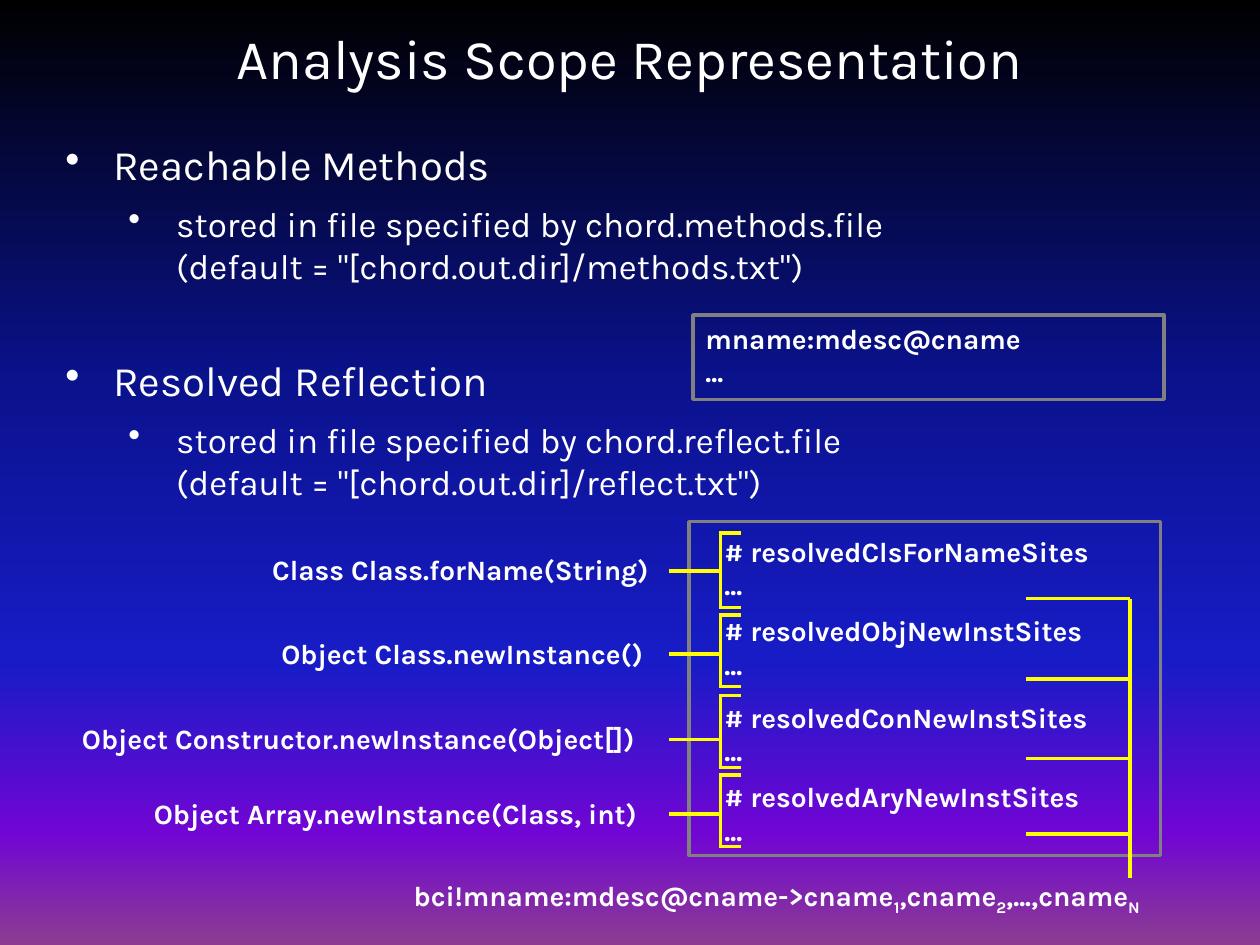
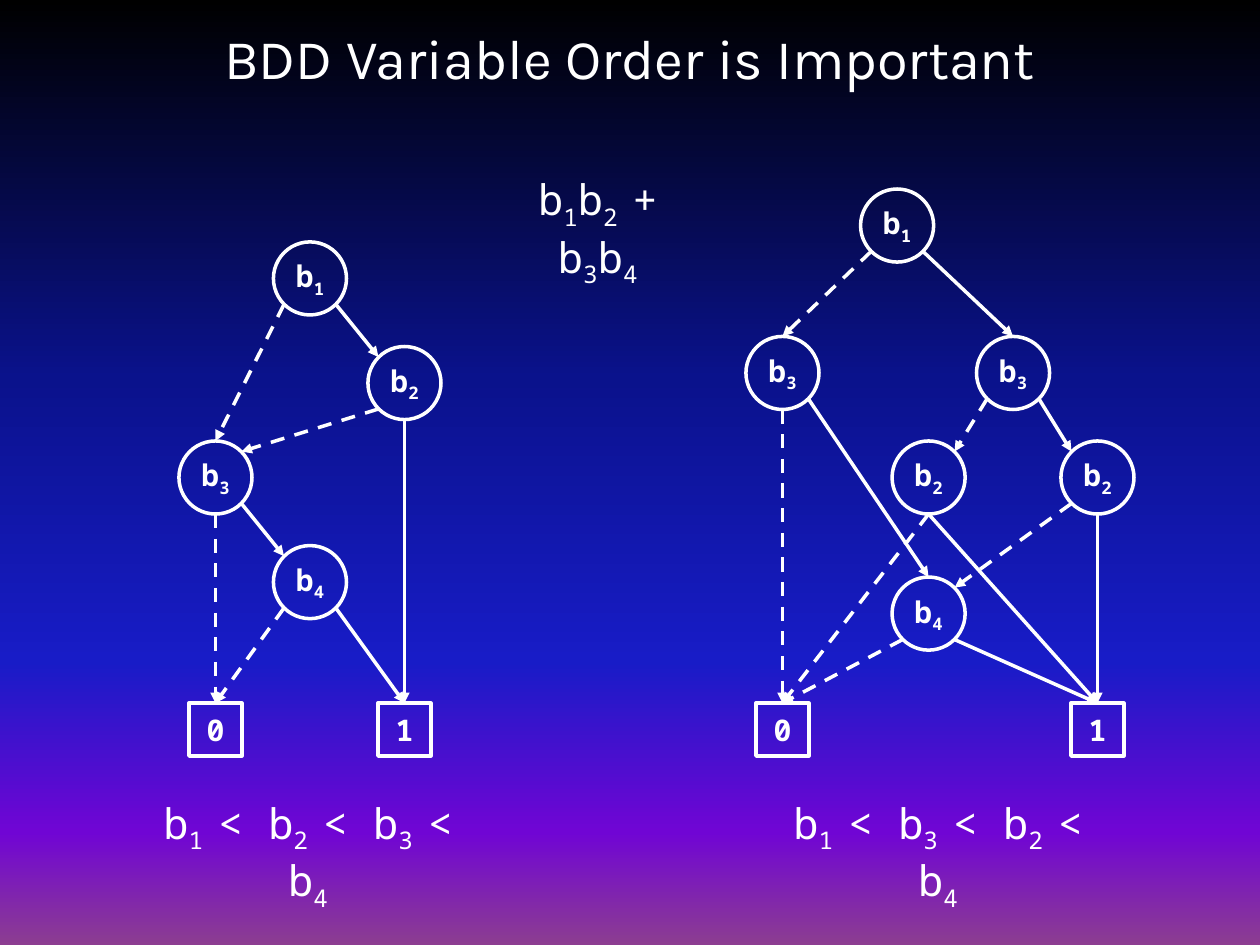
"""Build two slides on program analysis: scope files and decision diagrams."""
from dataclasses import dataclass
from typing import Any, NamedTuple

from lxml import etree
from pptx import Presentation
from pptx.dml.color import RGBColor
from pptx.enum.dml import MSO_LINE
from pptx.enum.shapes import MSO_CONNECTOR, MSO_SHAPE
from pptx.enum.text import MSO_ANCHOR, PP_ALIGN
from pptx.oxml.ns import qn
from pptx.util import Inches, Pt

RECT, OVAL = MSO_SHAPE.RECTANGLE, MSO_SHAPE.OVAL
STRAIGHT = MSO_CONNECTOR.STRAIGHT
DASH = MSO_LINE.DASH
LEFT, CENTER = PP_ALIGN.LEFT, PP_ALIGN.CENTER
TOP, MIDDLE = MSO_ANCHOR.TOP, MSO_ANCHOR.MIDDLE


@dataclass(frozen=True)
class Theme:
    sans: str = "Karla"
    mono: str = "Noto Sans Mono"
    white: str = "FFFFFF"
    gray: str = "808080"
    yellow: str = "FFFF00"
    stops: tuple = ((0, "000000"), (40, "0A128C"), (70, "181CC7"), (88, "7005D4"), (100, "8C3D91"))
    title: int = 32
    head: int = 24
    sub: int = 20
    code: int = 16
    node: int = 17
    line: int = 2


THEME = Theme()


class Site(NamedTuple):
    label: str
    left: float
    width: float
    stem: float
    top: float
    base: float
    tap: float


class Node(NamedTuple):
    name: str
    index: str
    left: float
    top: float


class Leaf(NamedTuple):
    name: str
    left: float


class Edge(NamedTuple):
    start: str
    port: str
    end: str
    goal: str
    dashed: bool = False


class Graph(NamedTuple):
    nodes: tuple
    leaves: tuple
    edges: tuple


SITES = (
    Site("Class Class.forName(String)", 1.88, 3.55, 4.53, 4.23, 4.82, 4.75),
    Site("Object Class.newInstance()", 1.88, 3.58, 5.19, 4.88, 5.45, 5.39),
    Site("Object Constructor.newInstance(Object[])", 0.35, 4.99, 5.87, 5.52, 6.09, 6.02),
    Site("Object Array.newInstance(Class, int)", 0.93, 4.42, 6.46, 6.15, 6.72, 6.62),
)
BULLETS = (
    (0, "Reachable Methods", 0),
    (1, "stored in file specified by chord.methods.file\n"
        "(default = \"[chord.out.dir]/methods.txt\")", 7),
    (0, "Resolved Reflection", 41),
    (1, "stored in file specified by chord.reflect.file\n"
        "(default = \"[chord.out.dir]/reflect.txt\")", 7),
)
KINDS = (("ClsForName", 0), ("ObjNewInst", 7), ("ConNewInst", 11), ("AryNewInst", 7))

SMALL = Graph(
    (Node("b1", "1", 2.17, 1.92), Node("b2", "2", 2.92, 2.75),
     Node("b3", "3", 1.42, 3.5), Node("b4", "4", 2.17, 4.33)),
    (Leaf("0", 1.5), Leaf("1", 3)),
    (Edge("b1", "sw", "b3", "n", True), Edge("b1", "se", "b2", "nw"),
     Edge("b2", "sw", "b3", "ne", True), Edge("b2", "s", "1", "n"),
     Edge("b3", "s", "0", "n", True), Edge("b3", "se", "b4", "nw"),
     Edge("b4", "sw", "0", "n", True), Edge("b4", "se", "1", "n")),
)
LARGE = Graph(
    (Node("b1", "1", 6.83, 1.5), Node("b3", "3", 5.92, 2.67),
     Node("b3r", "3", 7.75, 2.67), Node("b2", "2", 7.08, 3.5),
     Node("b2r", "2", 8.42, 3.5), Node("b4", "4", 7.08, 4.58)),
    (Leaf("0", 6), Leaf("1", 8.5)),
    (Edge("b1", "sw", "b3", "n", True), Edge("b1", "se", "b3r", "n"),
     Edge("b3", "s", "0", "n", True), Edge("b3", "se", "b4", "n"),
     Edge("b3r", "sw", "b2", "ne", True), Edge("b3r", "se", "b2r", "nw"),
     Edge("b2", "s", "0", "n", True), Edge("b2", "s", "1", "n"),
     Edge("b2r", "sw", "b4", "ne", True), Edge("b2r", "s", "1", "n"),
     Edge("b4", "sw", "0", "n", True), Edge("b4", "se", "1", "n")),
)
FORMULAS = (
    (3.83, 1.33, 1.83, ("b", "1", "b", "2 ", "+ b", "3", "b", "4")),
    (1.19, 6.28, 2.51, ("b", "1 ", "< b", "2 ", "< b", "3 ", "< b", "4")),
    (6.19, 6.28, 2.51, ("b", "1 ", "< b", "3 ", "< b", "2 ", "< b", "4")),
)
SIDE = 0.58
CELL = 0.42
FLOOR = 5.58
DIAG = 0.71
PORTS = {"n": (0, -1), "s": (0, 1), "sw": (-DIAG, DIAG), "se": (DIAG, DIAG),
         "nw": (-DIAG, -DIAG), "ne": (DIAG, -DIAG)}


def style(item: Any, **values: Any) -> None:
    for key, value in values.items():
        setattr(item, key, value)


def write(para: Any, parts: tuple, size: int, face: str = THEME.sans, bold: bool = False) -> None:
    """Write parts that alternate between normal text and subscript."""
    for place, part in enumerate(parts):
        for row, text in enumerate(part.split("\n")):
            if row:
                para.add_line_break()
            run = para.add_run()
            run.text = text
            style(run.font, name=face, size=Pt(size), bold=bold)
            run.font.color.rgb = RGBColor.from_string(THEME.white)
            if place % 2:
                run.font._element.set("baseline", "-25000")


def frame(shape: Any, anchor: Any = TOP, wrap: bool = True, **margins: Any) -> Any:
    text = shape.text_frame
    style(text, vertical_anchor=anchor, word_wrap=wrap, **margins)
    return text


def text_box(slide: Any, left: float, top: float, width: float, height: float,
             parts: tuple, size: int, face: str = THEME.sans, bold: bool = False) -> None:
    box = slide.shapes.add_textbox(Inches(left), Inches(top), Inches(width), Inches(height))
    para = frame(box).paragraphs[0]
    para.alignment = CENTER
    write(para, parts, size, face, bold)


def outline(shapes: Any, kind: Any, left: float, top: float, width: float,
            height: float, color: str) -> Any:
    shape = shapes.add_shape(kind, Inches(left), Inches(top), Inches(width), Inches(height))
    shape.shadow.inherit = False
    shape.fill.background()
    shape.line.color.rgb = RGBColor.from_string(color)
    shape.line.width = Pt(THEME.line)
    return shape


def link(shapes: Any, start: tuple, end: tuple, color: str) -> Any:
    line = shapes.add_connector(STRAIGHT, *(Inches(n) for n in (*start, *end)))
    line.line.color.rgb = RGBColor.from_string(color)
    line.line.width = Pt(THEME.line)
    etree.SubElement(line._element.spPr, qn("a:effectLst"))
    return line


def paint(master: Any) -> None:
    master.background.fill.gradient()
    grad = master.element.find(".//" + qn("p:bgPr")).find(qn("a:gradFill"))
    for child in list(grad):
        grad.remove(child)
    stops = etree.SubElement(grad, qn("a:gsLst"))
    for place, color in THEME.stops:
        stop = etree.SubElement(stops, qn("a:gs"), pos=str(place * 1000))
        etree.SubElement(stop, qn("a:srgbClr"), val=color)
    etree.SubElement(grad, qn("a:lin"), ang="5400000", scaled="0")


def new_slide(deck: Any, name: str) -> Any:
    slide = deck.slides.add_slide(deck.slide_layouts[5])
    title = slide.shapes.title
    style(title, left=Inches(0), top=Inches(0.08), width=Inches(10), height=Inches(0.75))
    para = frame(title, MIDDLE).paragraphs[0]
    para.alignment = CENTER
    write(para, (name,), THEME.title)
    return slide


def bullet(para: Any, level: int) -> None:
    para.level = level
    props = para._p.get_or_add_pPr()
    props.set("marL", str(Inches(0.38 + 0.5 * level)))
    props.set("indent", str(-Inches(0.38)))
    tint = etree.SubElement(props, qn("a:buClr"))
    etree.SubElement(tint, qn("a:srgbClr"), val=THEME.white)
    etree.SubElement(props, qn("a:buChar"), char="•")


def draw_list(slide: Any) -> None:
    box = slide.shapes.add_textbox(Inches(0.42), Inches(1.08), Inches(9.58), Inches(3.08))
    text = frame(box)
    for row, (level, words, gap) in enumerate(BULLETS):
        para = text.add_paragraph() if row else text.paragraphs[0]
        bullet(para, level)
        style(para, space_before=Pt(gap), line_spacing=1.0 if level else 0.95)
        write(para, (words,), THEME.sub if level else THEME.head)


def draw_files(slide: Any) -> None:
    pad = Inches(0.1)
    sites = outline(slide.shapes, RECT, 5.47, 4.14, 3.74, 2.65, THEME.gray)
    text = frame(sites, margin_left=Inches(0.28), margin_top=pad, margin_bottom=pad)
    for row, (kind, gap) in enumerate(KINDS):
        para = text.add_paragraph() if row else text.paragraphs[0]
        style(para, alignment=LEFT, space_before=Pt(gap))
        write(para, (f"# resolved{kind}Sites\n...",), THEME.code, bold=True)
    names = outline(slide.shapes, RECT, 5.5, 2.5, 3.74, 0.67, THEME.gray)
    para = frame(names, margin_left=pad, margin_bottom=pad).paragraphs[0]
    para.alignment = LEFT
    write(para, ("mname:mdesc@cname\n...",), THEME.code, bold=True)


def draw_sites(slide: Any) -> None:
    spine, rail = 5.72, 8.97
    for site in SITES:
        text_box(slide, site.left, site.stem - 0.19, site.width, 0.37,
                 (site.label,), THEME.code, bold=True)
        for start, end in (
            ((spine, site.stem), (5.31, site.stem)),
            ((spine, site.top), (spine, site.base)),
            ((5.71, site.top), (5.88, site.top)),
            ((5.71, site.base), (5.88, site.base)),
            ((rail, site.tap), (8.14, site.tap)),
        ):
            link(slide.shapes, start, end, THEME.yellow)
    link(slide.shapes, (rail, SITES[0].tap), (rail, 6.97), THEME.yellow)
    text_box(slide, 2.83, 6.92, 6.67, 0.37,
             ("bci!mname:mdesc@cname->cname", "1", ",cname", "2", ",...,cname", "N"),
             THEME.code, bold=True)


def draw_node(shapes: Any, kind: Any, left: float, top: float, side: float, parts: tuple) -> Any:
    shape = outline(shapes, kind, left, top, side, side, THEME.white)
    para = frame(shape, MIDDLE, False, margin_left=0, margin_right=0).paragraphs[0]
    para.alignment = CENTER
    write(para, parts, THEME.node, THEME.mono, True)
    return shape


def spot(node: Node, port: str) -> tuple:
    return tuple(base + SIDE / 2 * (1 + step)
                 for base, step in zip((node.left, node.top), PORTS[port]))


def draw_graph(slide: Any, graph: Graph) -> None:
    shapes = slide.shapes.add_group_shape().shapes
    nodes = {node.name: node for node in graph.nodes}
    for node in graph.nodes:
        draw_node(shapes, OVAL, node.left, node.top, SIDE, ("b", node.index))
    cells = {leaf.name: draw_node(shapes, RECT, leaf.left, FLOOR, CELL, (leaf.name,))
             for leaf in graph.leaves}
    for edge in graph.edges:
        start = spot(nodes[edge.start], edge.port)
        end = start if edge.end in cells else spot(nodes[edge.end], edge.goal)
        line = link(shapes, start, end, THEME.white)
        if edge.end in cells:
            line.end_connect(cells[edge.end], 0)
        if edge.dashed:
            line.line.dash_style = DASH
        etree.SubElement(line._element.spPr.find(qn("a:ln")), qn("a:tailEnd"), type="triangle")


def main() -> None:
    deck = Presentation()
    style(deck, slide_width=Inches(10), slide_height=Inches(7.5))
    paint(deck.slide_master)
    scope = new_slide(deck, "Analysis Scope Representation")
    draw_list(scope)
    draw_files(scope)
    draw_sites(scope)
    order = new_slide(deck, "BDD Variable Order is Important")
    for graph in (SMALL, LARGE):
        draw_graph(order, graph)
    for left, top, width, parts in FORMULAS:
        text_box(order, left, top, width, 0.5, parts, THEME.head, THEME.mono)
    deck.save("out.pptx")


if __name__ == "__main__":
    main()
